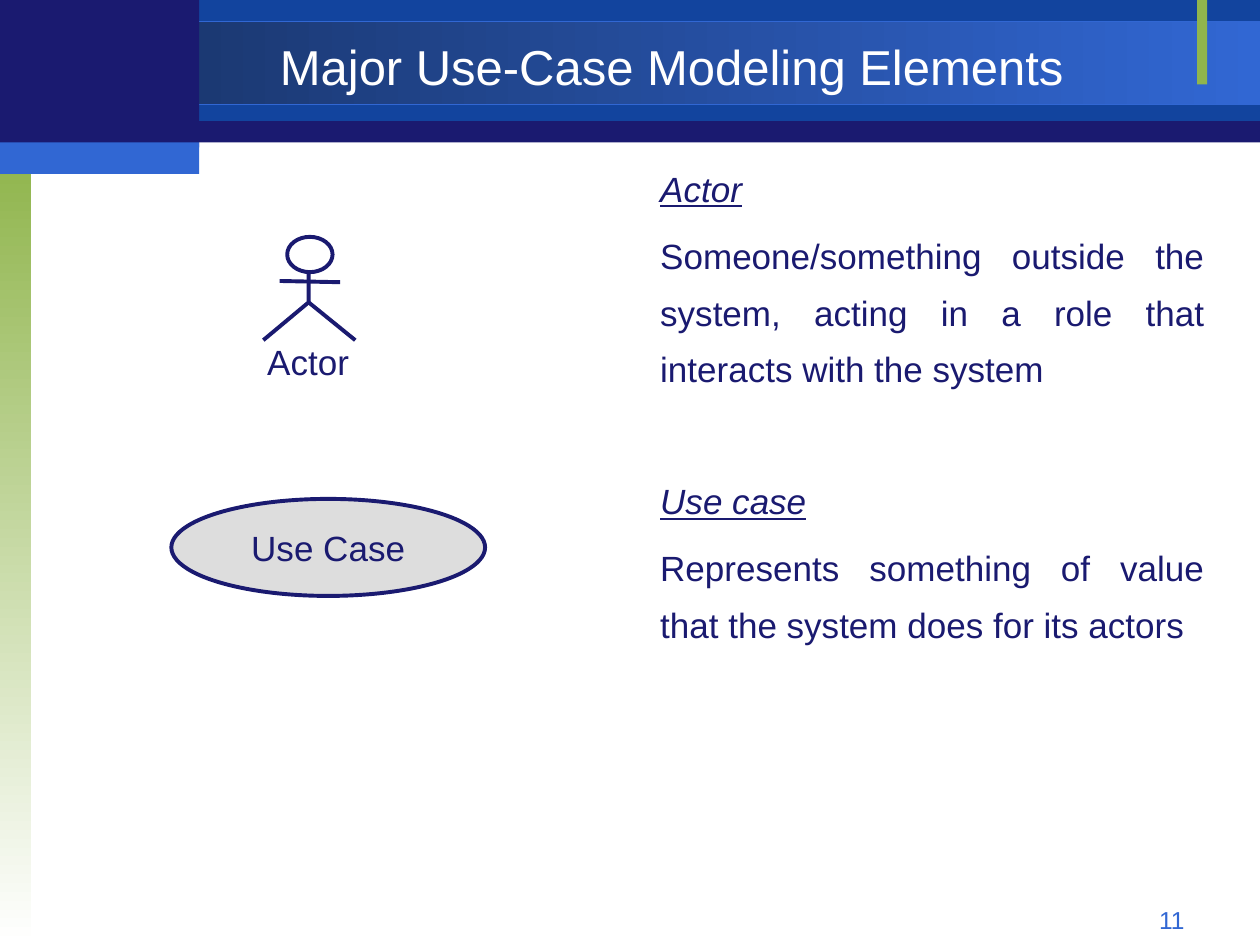
import math
from dataclasses import dataclass
from typing import Optional

import pptx
import pptx.dml.color
import pptx.enum.shapes
import pptx.enum.text
import pptx.oxml
import pptx.util

COLUMNS, ROWS = 10, 7.5
CELL = pptx.util.Inches(1)
FONT = "Arial"
NAVY, ROYAL, SKY, GREEN = "1A1A70", "12449E", "3167D3", "90B54D"
WHITE, GREY, SHADE = "FFFFFF", "DDDDDD", "173061"
SIDE = 1.58
STROKE = 2.25
ALIGN = pptx.enum.text.PP_ALIGN
SHAPE = pptx.enum.shapes.MSO_SHAPE


@dataclass
class Area:
    """A place on the grid, in columns and rows."""
    column: float
    row: float
    width: float
    height: float

    def lengths(self) -> list[int]:
        return [cells(n) for n in (self.column, self.row, self.width, self.height)]


@dataclass
class Band:
    area: Area
    color: str
    end_color: Optional[str] = None
    angle: int = 0
    outline: Optional[str] = None


@dataclass
class Line:
    text: str
    heading: bool = False
    space_before: float = 0


BANDS = [
    Band(Area(0, 0.01, COLUMNS, 1.12), NAVY),
    Band(Area(SIDE, 0, COLUMNS - SIDE, 0.96), ROYAL),
    Band(Area(0, 0.17, COLUMNS, 0.66), SHADE, SKY, outline=SKY),
    Band(Area(0, 1.25, 0.25, ROWS - 1.25), GREEN, WHITE, angle=270),
    Band(Area(9.5, 0, 0.08, 0.67), GREEN),
    Band(Area(0, 0, SIDE, 1.17), NAVY),
    Band(Area(0, 1.13, SIDE, 0.25), SKY),
]

DEFINITIONS = [
    Line("Actor", heading=True),
    Line("Someone/something outside the system, acting in a role that "
         "interacts with the system", space_before=6),
    Line("Use case", heading=True, space_before=43),
    Line("Represents something of value that the system does for its actors",
         space_before=6),
]


def cells(count: float) -> int:
    return round(count * CELL)


def rgb(color: str) -> pptx.dml.color.RGBColor:
    return pptx.dml.color.RGBColor.from_string(color)


def set_line(item, color: str, width: float = STROKE) -> None:
    item.line.color.rgb = rgb(color)
    item.line.width = pptx.util.Pt(width)


def add_band(shapes, band: Band) -> None:
    box = shapes.add_shape(SHAPE.RECTANGLE, *band.area.lengths())
    box.shadow.inherit = False
    if band.end_color:
        box.fill.gradient()
        box.fill.gradient_angle = band.angle
        for stop, color, position in zip(
                box.fill.gradient_stops, (band.color, band.end_color), (0, 1)):
            stop.color.rgb = rgb(color)
            stop.position = position
    else:
        box.fill.solid()
        box.fill.fore_color.rgb = rgb(band.color)
    if band.outline:
        set_line(box, band.outline, 0.75)
    else:
        box.line.fill.background()


def set_insets(frame, across: float, down: float) -> None:
    frame.margin_left = frame.margin_right = cells(across)
    frame.margin_top = frame.margin_bottom = cells(down)


def style_paragraph(para, size: float, color: str, align) -> None:
    para.alignment = align
    for span in para.runs:
        span.font.name = FONT
        span.font.size = pptx.util.Pt(size)
        span.font.color.rgb = rgb(color)


def add_text(shapes, area: Area, text: str, size: float, color: str, align):
    box = shapes.add_textbox(*area.lengths())
    frame = box.text_frame
    frame.word_wrap = True
    frame.text = text
    style_paragraph(frame.paragraphs[0], size, color, align)
    return frame


def add_definitions(shapes, area: Area, lines: list[Line]) -> None:
    frame = shapes.add_textbox(*area.lengths()).text_frame
    frame.word_wrap = True
    set_insets(frame, 0.12, 0.06)
    frame.text = "\n".join(line.text for line in lines)
    for para, line in zip(frame.paragraphs, lines):
        style_paragraph(para, 20, NAVY, ALIGN.JUSTIFY)
        para.line_spacing = 1.35
        para.space_before = pptx.util.Pt(line.space_before)
        for span in para.runs:
            span.font.italic = span.font.underline = line.heading


def add_outline(shapes, points: list[tuple[float, float]], close: bool) -> None:
    start, *rest = [(cells(x), cells(y)) for x, y in points]
    builder = shapes.build_freeform(*start)
    builder.add_line_segments(rest, close=close)
    outline = builder.convert_to_shape()
    outline.shadow.inherit = False
    outline.fill.background()
    set_line(outline, NAVY)


def add_stroke(shapes, start: tuple[float, float], end: tuple[float, float]) -> None:
    ends = [cells(n) for n in (*start, *end)]
    stroke = shapes.add_connector(pptx.enum.shapes.MSO_CONNECTOR.STRAIGHT, *ends)
    set_line(stroke, NAVY)
    stroke._element.spPr.append(pptx.oxml.parse_xml(
        '<a:effectLst xmlns:a="http://schemas.openxmlformats.org/drawingml/2006/main"/>'))


def add_actor(slide) -> None:
    """Stick figure with its label, as one group."""
    shapes = slide.shapes.add_group_shape().shapes
    add_text(shapes, Area(1.77, 2.65, 1.35, 0.43), "Actor", 20, NAVY, ALIGN.CENTER)
    turns = [2 * math.pi * step / 32 for step in range(32)]
    head = [(2.46 + 0.18 * math.sin(t), 2.02 - 0.14 * math.cos(t)) for t in turns]
    add_outline(shapes, head, close=True)
    hip = (2.45, 2.4)
    add_stroke(shapes, (2.22, 2.23), (2.7, 2.24))
    add_outline(shapes, [(2.45, 2.16), hip, (2.09, 2.7)], close=False)
    add_stroke(shapes, hip, (2.82, 2.7))


def add_use_case(shapes) -> None:
    oval = shapes.add_shape(SHAPE.OVAL, *Area(1.36, 3.96, 2.49, 0.77).lengths())
    oval.shadow.inherit = False
    oval.fill.solid()
    oval.fill.fore_color.rgb = rgb(GREY)
    set_line(oval, NAVY)
    frame = oval.text_frame
    frame.word_wrap = False
    frame.vertical_anchor = pptx.enum.text.MSO_ANCHOR.MIDDLE
    set_insets(frame, 0.12, 0.06)
    frame.text = "Use Case"
    style_paragraph(frame.paragraphs[0], 20, NAVY, ALIGN.CENTER)


def main() -> None:
    deck = pptx.Presentation()
    deck.slide_width, deck.slide_height = cells(COLUMNS), cells(ROWS)
    slide = deck.slides.add_slide(deck.slide_layouts[6])
    for band in BANDS:
        add_band(slide.shapes, band)
    title = add_text(slide.shapes, Area(SIDE, 0.23, 7.5, 0.58),
                     "Major Use-Case Modeling Elements", 28, WHITE, ALIGN.CENTER)
    title.vertical_anchor = pptx.enum.text.MSO_ANCHOR.MIDDLE
    add_definitions(slide.shapes, Area(5.12, 1.15, 4.56, 5.52), DEFINITIONS)
    add_actor(slide)
    add_use_case(slide.shapes)
    add_text(slide.shapes, Area(7.17, 7.13, 2.33, 0.27), "11", 14, SKY, ALIGN.RIGHT)
    deck.save("out.pptx")


if __name__ == "__main__":
    main()
